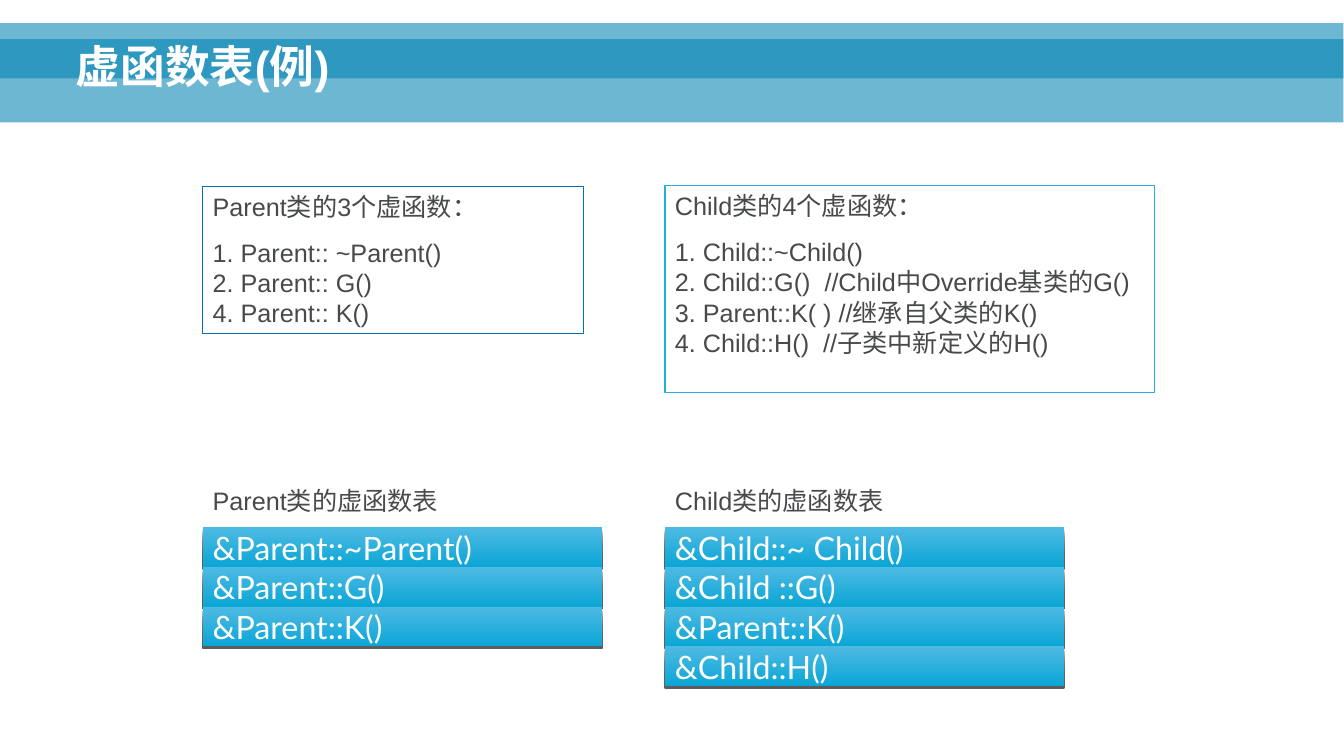
import pptx
import pptx.util
import pptx.dml.color
import pptx.enum.shapes
import pptx.enum.text
import pptx.oxml
import pptx.oxml.ns
from dataclasses import dataclass

Pt = pptx.util.Pt
Anchor = pptx.enum.text.MSO_ANCHOR


@dataclass(frozen=True)
class Theme:
    font: str = "Arial"
    row_font: str = "Lato"
    white: str = "FFFFFF"
    ink: str = "47494B"
    band: str = "0082B3"
    parent_line: str = "046FB6"
    child_line: str = "22B1DE"
    row_top: str = "4EBAE3"
    row_bottom: str = "0BA6D6"
    title_size: int = 32
    body_size: int = 18
    row_size: int = 23


SHADOW = (
    f'<a:outerShdw {pptx.oxml.ns.nsdecls("a")} blurRad="0" dist="19050" dir="5400000" '
    'algn="ctr" rotWithShape="0"><a:srgbClr val="000000"><a:alpha val="63000"/>'
    "</a:srgbClr></a:outerShdw>"
)


def colour(value):
    return pptx.dml.color.RGBColor.from_string(value)


class SlideBuilder:
    def __init__(self, page, theme):
        self.page = page
        self.theme = theme

    def set_text(self, box, paragraphs, size, font, ink, anchor=Anchor.TOP, gap=0):
        frame = box.text_frame
        frame.word_wrap = True
        frame.vertical_anchor = anchor
        for index, text in enumerate(paragraphs):
            para = frame.add_paragraph() if index else frame.paragraphs[0]
            para.text = text
            para.alignment = pptx.enum.text.PP_ALIGN.LEFT
            para.space_before = Pt(gap if index else 0)
            para.font.size = Pt(size)
            para.font.name = font
            para.font.color.rgb = colour(ink)

    def rectangle(self, left, top, width, height):
        box = self.page.shapes.add_shape(
            pptx.enum.shapes.MSO_SHAPE.RECTANGLE, Pt(left), Pt(top), Pt(width), Pt(height))
        box.shadow.inherit = False
        box.line.fill.background()
        return box

    def band(self, top, height):
        box = self.rectangle(0, top, 960, height)
        box.fill.solid()
        box.fill.fore_color.rgb = colour(self.theme.band)
        shade = box._element.spPr.find(".//" + pptx.oxml.ns.qn("a:srgbClr"))
        shade.append(pptx.oxml.parse_xml(
            f'<a:alpha {pptx.oxml.ns.nsdecls("a")} val="57000"/>'))

    def title(self, text):
        box = self.page.shapes.title
        box.left, box.top, box.width, box.height = Pt(46.8), Pt(7.9), Pt(862.6), Pt(62.6)
        self.set_text(box, [text], self.theme.title_size, self.theme.font,
                      self.theme.white, Anchor.BOTTOM)
        para = box.text_frame.paragraphs[0]
        para.font.bold = True
        para.line_spacing = 0.9
        # Bring the title in front of the bands
        self.page.shapes._spTree.append(box._element)

    def outlined_list(self, left, top, width, height, line, paragraphs):
        box = self.rectangle(left, top, width, height)
        box.fill.solid()
        box.fill.fore_color.rgb = colour(self.theme.white)
        box.line.color.rgb = colour(line)
        box.line.width = Pt(0.75)
        self.set_text(box, paragraphs, self.theme.body_size, self.theme.font,
                      self.theme.ink, gap=11.2)

    def label(self, left, top, text):
        box = self.page.shapes.add_textbox(Pt(left), Pt(top), Pt(250.6), Pt(29))
        self.set_text(box, [text], self.theme.body_size, self.theme.font, self.theme.ink)

    def table_row(self, left, top, text):
        box = self.rectangle(left, top, 285.3, 28.3)
        box.fill.gradient()
        box.fill.gradient_angle = 270
        for stop, value, position in zip(
                box.fill.gradient_stops,
                (self.theme.row_top, self.theme.row_bottom), (0, 1)):
            stop.color.rgb = colour(value)
            stop.position = position
        effects = box._element.spPr.find(pptx.oxml.ns.qn("a:effectLst"))
        effects.append(pptx.oxml.parse_xml(SHADOW))
        self.set_text(box, [text], self.theme.row_size, self.theme.row_font,
                      self.theme.white, Anchor.MIDDLE)

    def function_table(self, left, heading, rows):
        self.label(left, 342.9, heading)
        for index, text in enumerate(rows):
            self.table_row(left, 376.8 + index * 28.3, text)


def main():
    deck = pptx.Presentation()
    deck.slide_width, deck.slide_height = Pt(960.4), Pt(540)
    theme = Theme()
    page = deck.slides.add_slide(deck.slide_layouts.get_by_name("Title Only"))
    builder = SlideBuilder(page, theme)

    # Header
    builder.band(28, 59.5)
    builder.band(16.5, 39.5)
    builder.title("虚函数表(例)")

    # Virtual functions of each class
    parent_left, child_left = 144.9, 475.2
    builder.outlined_list(parent_left, 133.2, 272.4, 105.1, theme.parent_line, [
        "Parent类的3个虚函数：",
        "1. Parent:: ~Parent()\n2. Parent:: G()\n4. Parent:: K()",
    ])
    builder.outlined_list(child_left, 132.5, 350, 148, theme.child_line, [
        "Child类的4个虚函数：",
        "1. Child::~Child()\n2. Child::G()  //Child中Override基类的G()\n"
        "3. Parent::K( ) //继承自父类的K()\n4. Child::H()  //子类中新定义的H()",
    ])

    # Virtual function tables
    builder.function_table(parent_left, "Parent类的虚函数表", [
        "&Parent::~Parent()", "&Parent::G()", "&Parent::K()"])
    builder.function_table(child_left, "Child类的虚函数表", [
        "&Child::~ Child()", "&Child ::G()", "&Parent::K()", "&Child::H()"])

    deck.save("out.pptx")


if __name__ == "__main__":
    main()
